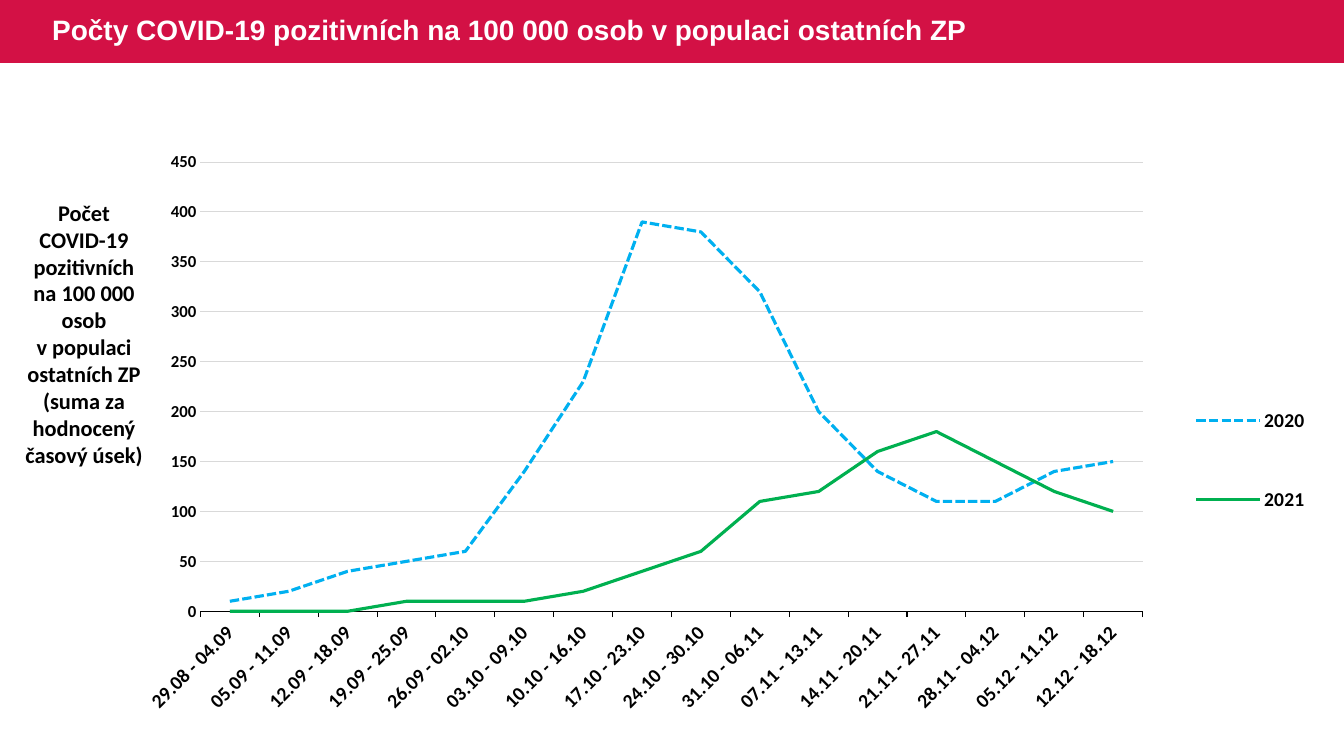
from dataclasses import dataclass

from lxml import etree
from pptx import Presentation
from pptx import util as u
from pptx.chart.data import CategoryChartData
from pptx.dml.color import RGBColor
from pptx.enum import chart as ch, dml, shapes, text
from pptx.oxml.ns import qn

PX = 914400 / 100.8


@dataclass(frozen=True)
class Theme:
    band: str = "D31145"
    title: str = "FFFFFF"
    ink: str = "000000"
    grid: str = "D9D9D9"
    title_font: str = "Arial"
    body_font: str = "Calibri"
    title_size: int = 20
    caption_size: int = 16
    label_size: int = 14
    scale_size: int = 12


THEME = Theme()
TITLE = "Počty COVID-19 pozitivních na 100 000 osob v populaci ostatních ZP"
CAPTION = ("Počet COVID-19 pozitivních na\u00a0100\u00a0000 osob v\u00a0populaci "
           "ostatních ZP (suma za hodnocený časový úsek)")
WEEKS = ["29.08 - 04.09", "05.09 - 11.09", "12.09 - 18.09", "19.09 - 25.09",
         "26.09 - 02.10", "03.10 - 09.10", "10.10 - 16.10", "17.10 - 23.10",
         "24.10 - 30.10", "31.10 - 06.11", "07.11 - 13.11", "14.11 - 20.11",
         "21.11 - 27.11", "28.11 - 04.12", "05.12 - 11.12", "12.12 - 18.12"]
YEARS = {
    "2020": ("00B0F0", dml.MSO_LINE.SQUARE_DOT,
             [10, 20, 40, 50, 60, 140, 230, 390, 380, 320, 200, 140, 110, 110, 140, 150]),
    "2021": ("00B050", dml.MSO_LINE.SOLID,
             [0, 0, 0, 10, 10, 10, 20, 40, 60, 110, 120, 160, 180, 150, 120, 100]),
}


def px(*lengths):
    return [u.Emu(round(length * PX)) for length in lengths]


def apply(target, values):
    for name, value in values.items():
        setattr(target, name, value)


def style_font(font, size, color=THEME.ink, name=THEME.body_font):
    apply(font, {"size": u.Pt(size), "bold": True, "name": name})
    font.color.rgb = RGBColor.from_string(color)


def style_line(line, color, width):
    line.color.rgb = RGBColor.from_string(color)
    line.width = u.Pt(width)


def add_band(slide, box):
    """Draw the header band behind everything else."""
    band = slide.shapes.add_shape(shapes.MSO_SHAPE.RECTANGLE, *px(*box))
    band.shadow.inherit = False
    band.fill.solid()
    band.fill.fore_color.rgb = RGBColor.from_string(THEME.band)
    band.line.fill.background()
    slide.shapes._spTree.insert(2, band._element)


def set_title(slide, box):
    title = slide.shapes.title
    apply(title, dict(zip(("left", "top", "width", "height"), px(*box))))
    title.text_frame.text = TITLE
    apply(title.text_frame, {"vertical_anchor": text.MSO_ANCHOR.MIDDLE,
                             "word_wrap": True, "auto_size": text.MSO_AUTO_SIZE.NONE})
    paragraph = title.text_frame.paragraphs[0]
    apply(paragraph, {"alignment": text.PP_ALIGN.LEFT, "line_spacing": 0.9})
    style_font(paragraph.runs[0].font, THEME.title_size, THEME.title, THEME.title_font)


def add_caption(slide, box):
    frame = slide.shapes.add_textbox(*px(*box)).text_frame
    apply(frame, {"word_wrap": True, "auto_size": text.MSO_AUTO_SIZE.SHAPE_TO_FIT_TEXT})
    paragraph = frame.paragraphs[0]
    paragraph.text = CAPTION
    paragraph.alignment = text.PP_ALIGN.CENTER
    style_font(paragraph.runs[0].font, THEME.caption_size)


def place_part(part, index, box, inner=False):
    """Fix a chart part at fractions (x, y, w, h) of the chart."""
    for old in part.findall(qn("c:layout")):
        part.remove(old)
    layout = etree.Element(qn("c:layout"))
    manual = etree.SubElement(layout, qn("c:manualLayout"))
    settings = [("layoutTarget", "inner")] if inner else []
    settings += [("xMode", "edge"), ("yMode", "edge"), *zip("xywh", box)]
    for tag, value in settings:
        etree.SubElement(manual, qn(f"c:{tag}")).set("val", str(value))
    part.insert(index, layout)


def style_axes(chart):
    weeks, counts = chart.category_axis, chart.value_axis
    apply(weeks, {"major_tick_mark": ch.XL_TICK_MARK.OUTSIDE,
                  "minor_tick_mark": ch.XL_TICK_MARK.NONE})
    style_font(weeks.tick_labels.font, THEME.label_size)
    weeks._element.find(qn("c:txPr")).find(qn("a:bodyPr")).set("rot", "-2700000")
    style_line(weeks.format.line, THEME.ink, 0.75)

    apply(counts, {"minimum_scale": 0, "maximum_scale": 450, "major_unit": 50,
                   "major_tick_mark": ch.XL_TICK_MARK.NONE,
                   "minor_tick_mark": ch.XL_TICK_MARK.NONE,
                   "has_major_gridlines": True})
    style_font(counts.tick_labels.font, THEME.scale_size)
    counts.format.line.fill.background()
    style_line(counts.major_gridlines.format.line, THEME.grid, 0.75)


def add_case_chart(slide, box):
    data = CategoryChartData(number_format="0")
    data.categories = WEEKS
    for year, (_, _, counts) in YEARS.items():
        data.add_series(year, counts)
    chart = slide.shapes.add_chart(ch.XL_CHART_TYPE.LINE, *px(*box), data).chart
    apply(chart, {"has_title": False, "has_legend": True})
    style_font(chart.font, THEME.label_size)

    apply(chart.legend, {"position": ch.XL_LEGEND_POSITION.RIGHT,
                         "include_in_layout": False})
    style_font(chart.legend.font, THEME.label_size)
    place_part(chart.legend._element, 1, (0.88, 0.34, 0.12, 0.36))
    place_part(chart._chartSpace.chart.plotArea, 0, (0.045, 0.017, 0.803, 0.759), inner=True)
    style_axes(chart)

    chart.plots[0].vary_by_categories = False
    for series, (color, dash, _) in zip(chart.plots[0].series, YEARS.values()):
        series.smooth = False
        series.marker.style = ch.XL_MARKER_STYLE.NONE
        style_line(series.format.line, color, 2.25)
        series.format.line.dash_style = dash


def main():
    deck = Presentation()
    deck.slide_width, deck.slide_height = px(1344, 756)
    slide = deck.slides.add_slide(deck.slide_layouts[5])
    add_band(slide, (0, 0, 1344, 63))
    set_title(slide, (42, 0, 954, 63))
    add_caption(slide, (15, 194, 138, 281))
    add_case_chart(slide, (146, 152, 1175, 592))
    deck.save("out.pptx")


if __name__ == "__main__":
    main()
